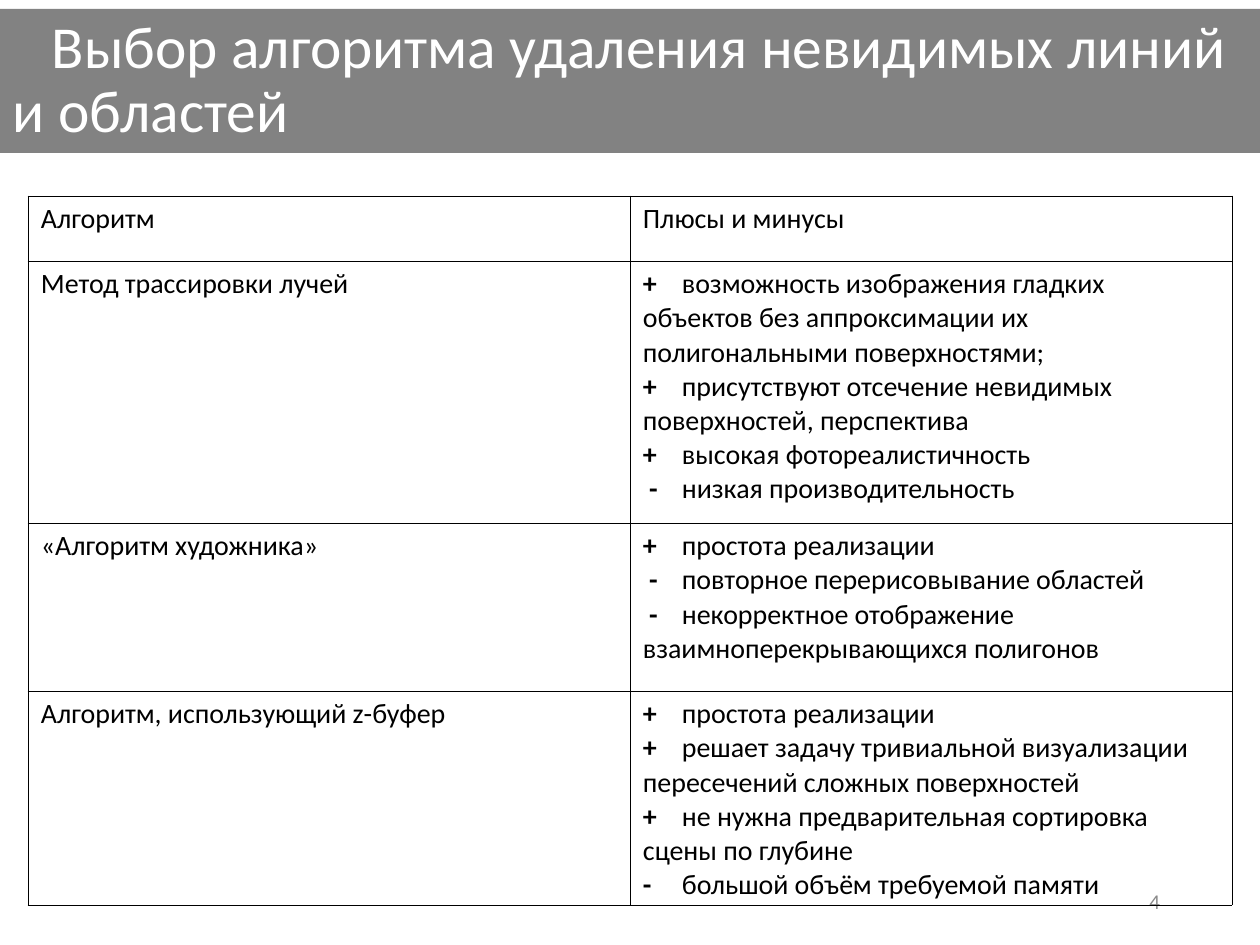
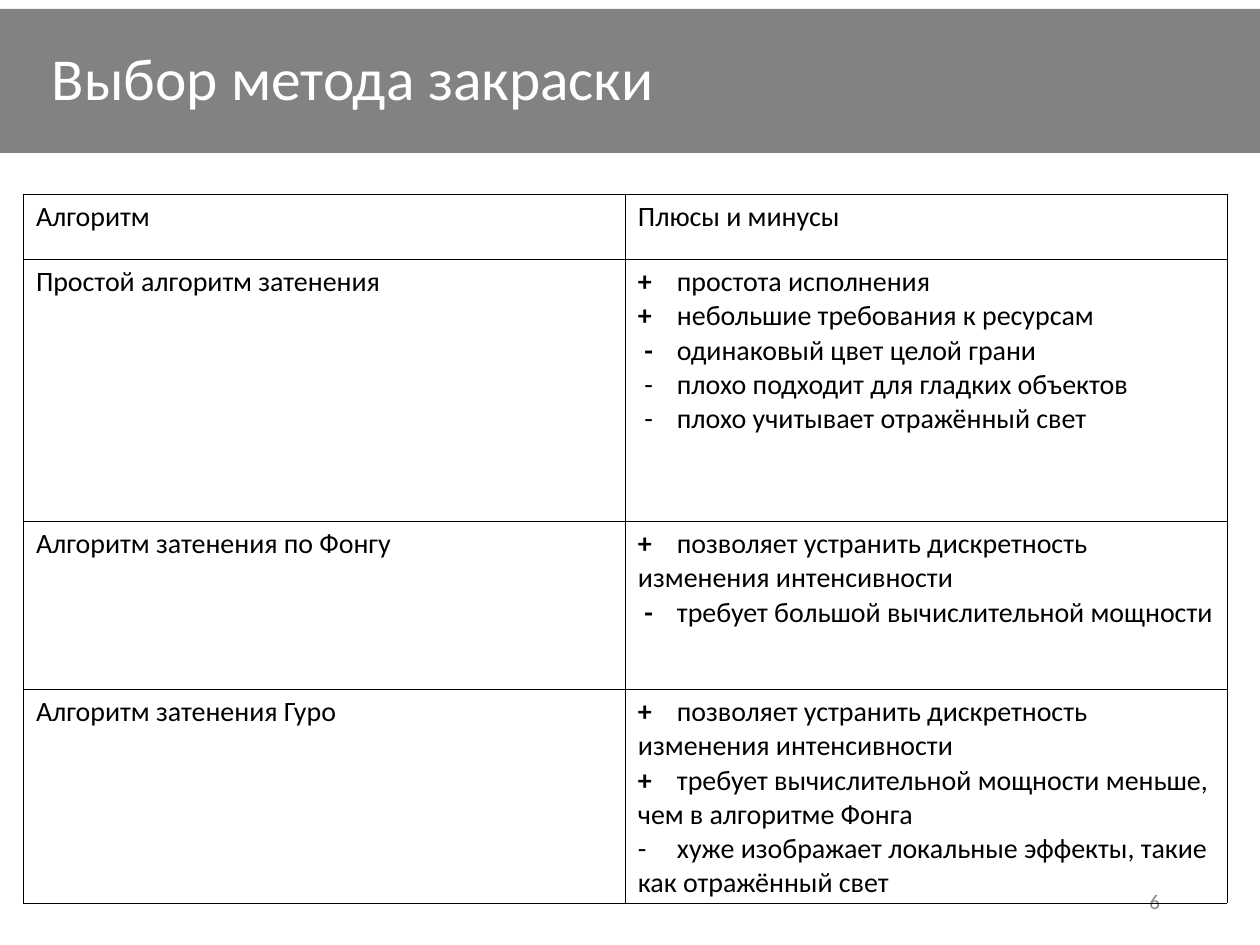
from lxml import etree
from pptx import Presentation
from pptx.dml.color import RGBColor
from pptx.enum.text import MSO_ANCHOR, MSO_AUTO_SIZE, PP_ALIGN
from pptx.oxml.ns import qn
from pptx.util import Pt

COLOURS = {"ink": "000000", "title": "FFFFFF", "number": "898989"}
FONT = "Calibri"

# Sign of an argument and whether it is bold
PLUS = ("+", True)
MINUS = (" -", True)
FLUSH_MINUS = ("-", True)
LIGHT_MINUS = (" -", False)
LIGHT_FLUSH_MINUS = ("-", False)

HEADINGS = ("Алгоритм", "Плюсы и минусы")
SLIDES = [
    {
        "title": "Выбор алгоритма удаления невидимых линий и областей",
        "number": "4",
        "table_at": (28, 196),
        "algorithms": [
            ("Метод трассировки лучей", [
                (PLUS, "возможность изображения гладких объектов без "
                       "аппроксимации их полигональными поверхностями;"),
                (PLUS, "присутствуют отсечение невидимых поверхностей, перспектива"),
                (PLUS, "высокая фотореалистичность"),
                (MINUS, "низкая производительность"),
            ]),
            ("«Алгоритм художника»", [
                (PLUS, "простота реализации"),
                (MINUS, "повторное перерисовывание областей"),
                (MINUS, "некорректное отображение взаимноперекрывающихся полигонов"),
            ]),
            ("Алгоритм, использующий z-буфер", [
                (PLUS, "простота реализации"),
                (PLUS, "решает задачу тривиальной визуализации "
                       "пересечений сложных поверхностей"),
                (PLUS, "не нужна предварительная сортировка сцены по глубине"),
                (FLUSH_MINUS, "большой объём требуемой памяти"),
            ]),
        ],
    },
    {
        "title": "Выбор метода закраски",
        "number": "6",
        "table_at": (23, 194),
        "algorithms": [
            ("Простой алгоритм затенения", [
                (PLUS, "простота исполнения"),
                (PLUS, "небольшие требования к ресурсам"),
                (MINUS, "одинаковый цвет целой грани"),
                (LIGHT_MINUS, "плохо подходит для гладких объектов"),
                (LIGHT_MINUS, "плохо учитывает отражённый свет"),
            ]),
            ("Алгоритм затенения по Фонгу", [
                (PLUS, "позволяет устранить дискретность изменения интенсивности"),
                (MINUS, "требует большой вычислительной мощности"),
            ]),
            ("Алгоритм затенения Гуро", [
                (PLUS, "позволяет устранить дискретность изменения интенсивности"),
                (PLUS, "требует вычислительной мощности меньше, "
                       "чем в алгоритме Фонга"),
                (LIGHT_FLUSH_MINUS, "хуже изображает локальные эффекты, "
                                    "такие как отражённый свет"),
            ]),
        ],
    },
]

PX_PER_INCH = 126
SLIDE_SIZE = (1260, 945)
TITLE_BAND = (0, 9, 1260, 144)
NUMBER_BOX = (890, 876, 283, 50)
COLUMN_WIDTH = 602
ROW_HEIGHTS = (65, 262, 168, 214)
INSET_X, INSET_Y = 13, 6
TEXT_INDENT = 39
BAND_OPACITY = 49
BORDER_PT = 0.45


def px(length):
    return round(length * 914400 / PX_PER_INCH)


def box(*lengths):
    return [px(length) for length in lengths]


def colour(name):
    return RGBColor.from_string(COLOURS[name])


def add_run(paragraph, text, size, colour_name, bold=False):
    run = paragraph.add_run()
    run.text = text
    run.font.name = FONT
    run.font.size = Pt(size)
    run.font.bold = bold
    run.font.color.rgb = colour(colour_name)


def set_insets(holder):
    """Give a text frame or a table cell the common inner margins."""
    holder.margin_left = holder.margin_right = px(INSET_X)
    holder.margin_top = holder.margin_bottom = px(INSET_Y)


def add_title(slide, text):
    title = slide.shapes.title
    title.left, title.top, title.width, title.height = box(*TITLE_BAND)
    title.fill.solid()
    title.fill.fore_color.rgb = colour("ink")
    shade = title.fill._xPr.find(".//" + qn("a:srgbClr"))
    etree.SubElement(shade, qn("a:alpha"), val=str(BAND_OPACITY * 1000))
    frame = title.text_frame
    frame.auto_size = MSO_AUTO_SIZE.NONE
    frame.word_wrap = True
    frame.vertical_anchor = MSO_ANCHOR.MIDDLE
    set_insets(frame)
    line = frame.paragraphs[0]
    line.alignment = PP_ALIGN.LEFT
    line.line_spacing = 0.9
    line._p.get_or_add_pPr().set("indent", str(px(TEXT_INDENT)))
    add_run(line, text, 34, "title")


def add_number(slide, number):
    frame = slide.shapes.add_textbox(*box(*NUMBER_BOX)).text_frame
    frame.word_wrap = True
    frame.vertical_anchor = MSO_ANCHOR.MIDDLE
    set_insets(frame)
    line = frame.paragraphs[0]
    line.alignment = PP_ALIGN.RIGHT
    add_run(line, number, 12, "number")


def add_borders(cell):
    properties = cell._tc.get_or_add_tcPr()
    for position, side in enumerate(("lnL", "lnR", "lnT", "lnB")):
        border = etree.Element(qn("a:" + side), w=str(Pt(BORDER_PT)))
        fill = etree.SubElement(border, qn("a:solidFill"))
        etree.SubElement(fill, qn("a:srgbClr"), val=COLOURS["ink"])
        properties.insert(position, border)


def write_arguments(cell, arguments):
    """Write one paragraph per argument: sign, tab, wording."""
    frame = cell.text_frame
    for index, ((sign, bold), wording) in enumerate(arguments):
        line = frame.add_paragraph() if index else frame.paragraphs[0]
        tabs = etree.SubElement(line._p.get_or_add_pPr(), qn("a:tabLst"))
        etree.SubElement(tabs, qn("a:tab"), pos=str(px(TEXT_INDENT)), algn="l")
        add_run(line, sign, 16, "ink", bold)
        add_run(line, "\t" + wording, 16, "ink")


def add_comparison(slide, corner, algorithms):
    size = (COLUMN_WIDTH * len(HEADINGS), sum(ROW_HEIGHTS))
    table = slide.shapes.add_table(
        len(algorithms) + 1, len(HEADINGS), *box(*corner, *size)).table
    table.first_row = table.horz_banding = False
    for column in table.columns:
        column.width = px(COLUMN_WIDTH)
    for row, height in zip(table.rows, ROW_HEIGHTS):
        row.height = px(height)
    for cell in table.iter_cells():
        cell.fill.background()
        set_insets(cell)
        add_borders(cell)
    for column, heading in enumerate(HEADINGS):
        add_run(table.cell(0, column).text_frame.paragraphs[0], heading, 16, "ink")
    for row, (algorithm, arguments) in enumerate(algorithms, start=1):
        add_run(table.cell(row, 0).text_frame.paragraphs[0], algorithm, 16, "ink")
        write_arguments(table.cell(row, 1), arguments)


def main():
    deck = Presentation()
    deck.slide_width, deck.slide_height = box(*SLIDE_SIZE)
    title_only = deck.slide_layouts[5]
    for content in SLIDES:
        slide = deck.slides.add_slide(title_only)
        add_title(slide, content["title"])
        add_number(slide, content["number"])
        add_comparison(slide, content["table_at"], content["algorithms"])
    deck.save("out.pptx")


if __name__ == "__main__":
    main()
